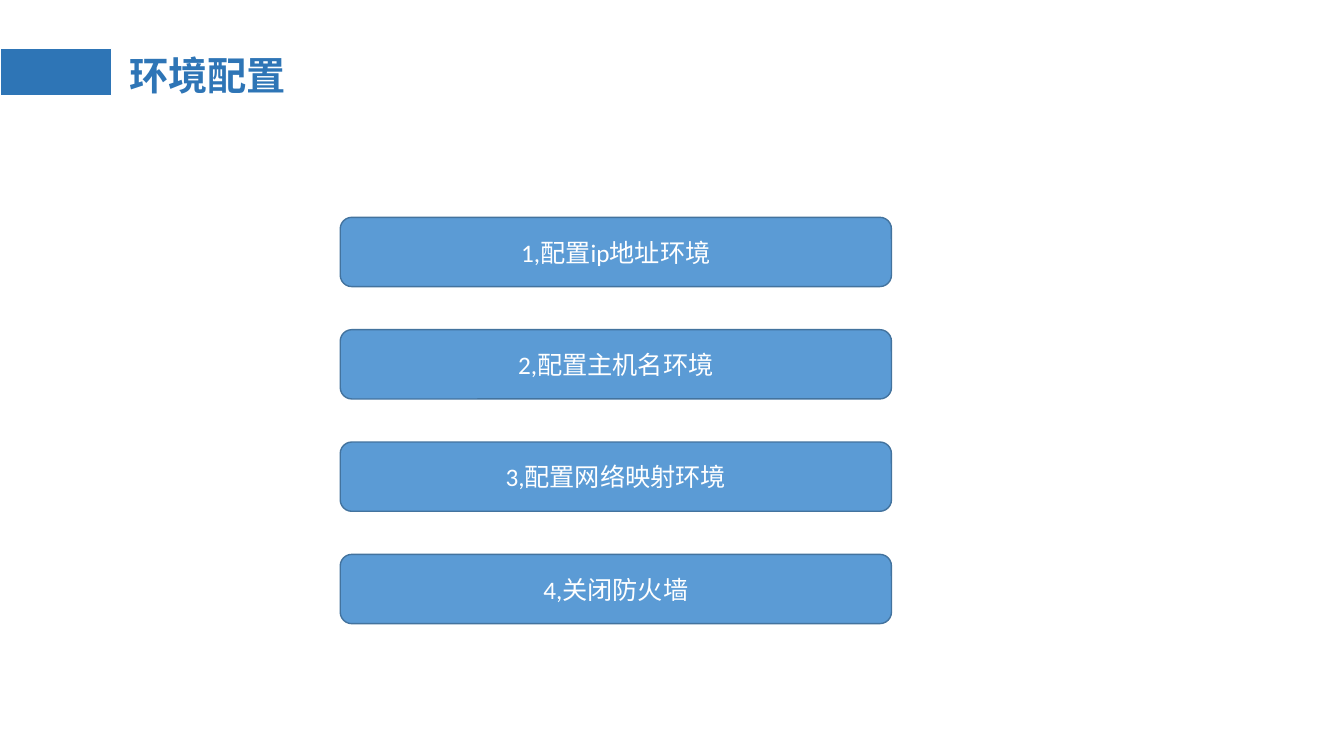
import pptx
import pptx.dml.color
import pptx.enum.shapes
import pptx.enum.text
import pptx.oxml
import pptx.oxml.ns
import pptx.util

RGBColor = pptx.dml.color.RGBColor
Pt = pptx.util.Pt
MSO_SHAPE = pptx.enum.shapes.MSO_SHAPE
MSO_ANCHOR = pptx.enum.text.MSO_ANCHOR
PP_ALIGN = pptx.enum.text.PP_ALIGN

PX = 9525  # EMU per px, 96 px to the inch
WHITE = RGBColor(0xFF, 0xFF, 0xFF)
DARK_BLUE = RGBColor(0x2E, 0x75, 0xB6)
STEP_BLUE = RGBColor(0x5B, 0x9B, 0xD5)
STEP_EDGE = RGBColor(0x43, 0x73, 0x9E)
CJK_FONT = "Noto Sans CJK SC"

STEPS = ["1,配置ip地址环境", "2,配置主机名环境", "3,配置网络映射环境", "4,关闭防火墙"]
STEP_TOP, STEP_PITCH = 207, 107


def add_box(kind, left, top, width, height, fill, edge, edge_width):
    sp = slide.shapes.add_shape(kind, left * PX, top * PX, width * PX, height * PX)
    sp.shadow.inherit = False
    sp.fill.solid()
    sp.fill.fore_color.rgb = fill
    sp.line.color.rgb = edge
    sp.line.width = Pt(edge_width)
    return sp


def write_text(sp, text, size, font, color):
    """Fill the shape with one middle-anchored paragraph and return it."""
    tf = sp.text_frame
    tf.word_wrap = True
    tf.vertical_anchor = MSO_ANCHOR.MIDDLE
    p = tf.paragraphs[0]
    p.text = text
    p.font.size = Pt(size)
    p.font.name = font
    p.font.color.rgb = color
    ea = pptx.oxml.parse_xml(
        f'<a:ea {pptx.oxml.ns.nsdecls("a")} typeface="{CJK_FONT}"/>')
    p._p.find(".//" + pptx.oxml.ns.qn("a:latin")).addnext(ea)
    return p


prs = pptx.Presentation()
prs.slide_width = 1280 * PX
prs.slide_height = 720 * PX
slide = prs.slides.add_slide(prs.slide_layouts[6])

add_box(MSO_SHAPE.RECTANGLE, 0, 46, 106, 45, DARK_BLUE, WHITE, 0.75)

title = slide.shapes.add_textbox(114 * PX, 17 * PX, 1104 * PX, 115 * PX)
p = write_text(title, "环境配置", 28, CJK_FONT, DARK_BLUE)
p.font.bold = True
p.line_spacing = 0.9

for i, step in enumerate(STEPS):
    sp = add_box(MSO_SHAPE.ROUNDED_RECTANGLE, 324, STEP_TOP + i * STEP_PITCH,
                 525, 66, STEP_BLUE, STEP_EDGE, 1)
    p = write_text(sp, step, 18, "Calibri", WHITE)
    p.alignment = PP_ALIGN.CENTER

prs.save("out.pptx")
